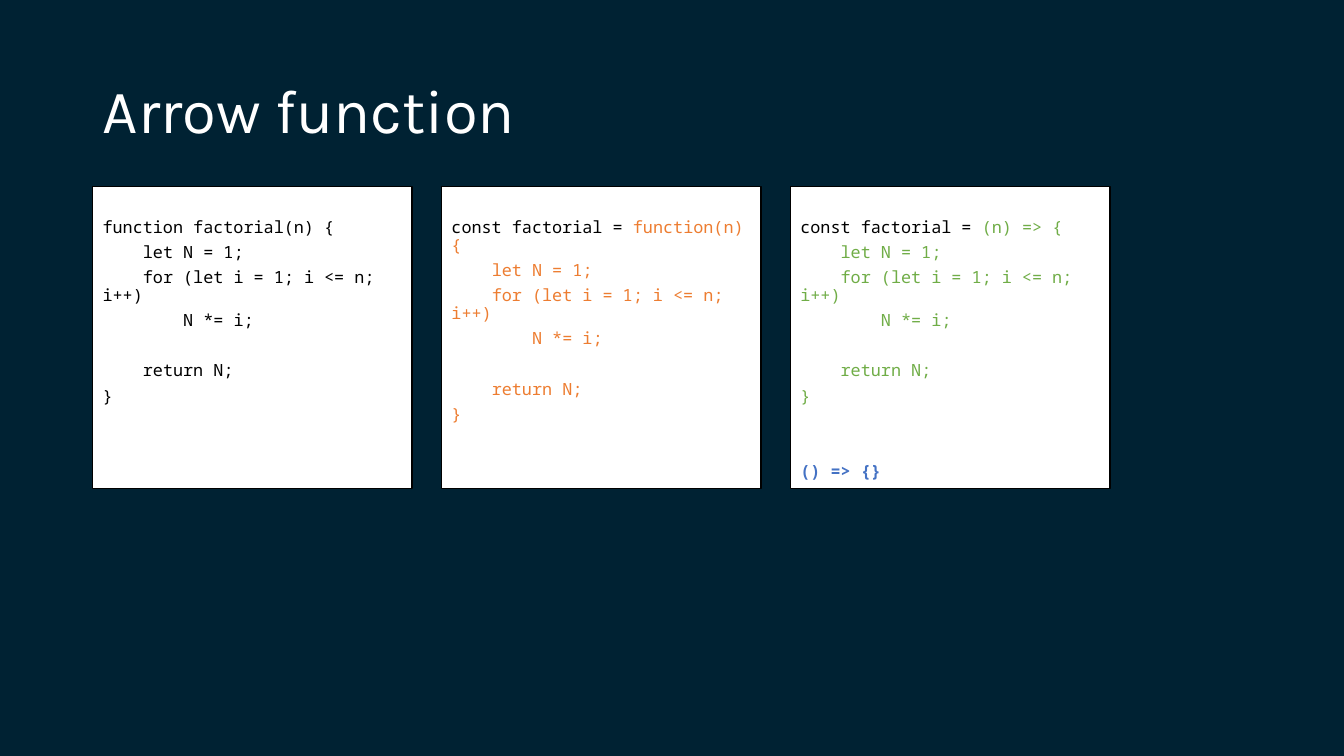
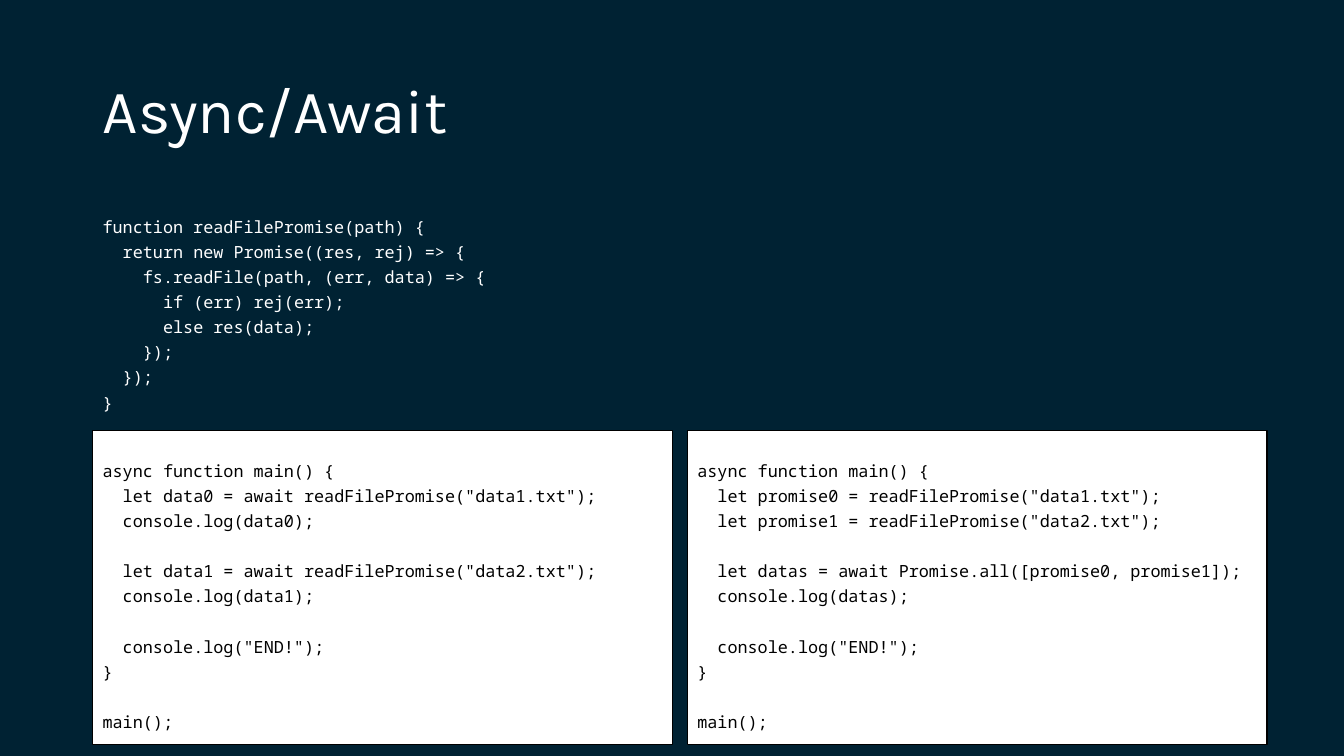
import dataclasses

import pptx
import pptx.dml.color
import pptx.enum.shapes
import pptx.enum.text
import pptx.presentation
import pptx.slide
import pptx.text.text
import pptx.util

Pt = pptx.util.Pt

COLORS = {
    "background": "002233",
    "white": "FFFFFF",
    "black": "000000",
    "orange": "ED7D31",
    "green": "70AD47",
    "blue": "4472C4",
}
TITLE_FONT = "Karla"
CODE_FONT = "Noto Sans Mono"

# Lengths and sizes in points
LEFT = 66.2
TITLE_TOP = 28.8
TITLE_HEIGHT = 104.4
CONTENT_TOP = TITLE_TOP + TITLE_HEIGHT
CONTENT_WIDTH = 828
TITLE_SIZE = 44
CODE_SIZE = 12
CHARACTER_WIDTH = 0.6 * CODE_SIZE
LINE_SPACING = 0.9
SPACE_BEFORE = 5
BLANK_LINE = 18
PANEL_INSET_TOP = 23

# Code listings
FACTORIAL_BODY = """
    let N = 1;
    for (let i = 1; i <= n; i++)
        N *= i;

    return N;
}"""

READ_FILE = """function readFilePromise(path) {
  return new Promise((res, rej) => {
    fs.readFile(path, (err, data) => {
      if (err) rej(err);
      else res(data);
    });
  });
}"""

SEQUENTIAL = """async function main() {
  let data0 = await readFilePromise("data1.txt");
  console.log(data0);

  let data1 = await readFilePromise("data2.txt");
  console.log(data1);

  console.log("END!");
}

main();"""

PARALLEL = """async function main() {
  let promise0 = readFilePromise("data1.txt");
  let promise1 = readFilePromise("data2.txt");

  let datas = await Promise.all([promise0, promise1]);
  console.log(datas);

  console.log("END!");
}

main();"""


@dataclasses.dataclass
class Panel:
    """A listing; the prefix stands before its first line, the footnote below it."""
    code: str
    color: str = "black"
    prefix: str = ""
    footnote: str = ""
    boxed: bool = True


@dataclasses.dataclass
class PanelRow:
    """Panels of equal size, side by side across the content width."""
    panels: list[Panel]
    top: float
    width: float
    height: float
    gap: float = 0


ARROW_ROWS = [
    PanelRow(
        [
            Panel("function factorial(n) {" + FACTORIAL_BODY),
            Panel("function(n) {" + FACTORIAL_BODY, "orange", prefix="const factorial = "),
            Panel("(n) => {" + FACTORIAL_BODY, "green", prefix="const factorial = ",
                  footnote="() => {}"),
        ],
        top=CONTENT_TOP, width=228.2, height=216, gap=21,
    ),
]

ASYNC_ROWS = [
    PanelRow([Panel(READ_FILE, "white", boxed=False)], top=CONTENT_TOP, width=414, height=164.2),
    PanelRow([Panel(SEQUENTIAL), Panel(PARALLEL)], top=307.4, width=414, height=224.6, gap=10.8),
]


def rgb(name: str) -> pptx.dml.color.RGBColor:
    return pptx.dml.color.RGBColor.from_string(COLORS[name])


def add_run(paragraph, text: str, color: str, bold: bool = False) -> None:
    run = paragraph.add_run()
    run.text = text
    run.font.color.rgb = rgb(color)
    run.font.bold = bold


def format_code_line(paragraph, indent: int, blank_lines: int) -> None:
    """Indent by a number of characters, below a number of blank lines."""
    paragraph.alignment = pptx.enum.text.PP_ALIGN.LEFT
    paragraph.line_spacing = LINE_SPACING
    paragraph.space_before = Pt(SPACE_BEFORE + blank_lines * BLANK_LINE)
    paragraph.font.name = CODE_FONT
    paragraph.font.size = Pt(CODE_SIZE)
    # Only the first line is indented, so wrapped code returns to the edge
    properties = paragraph._p.get_or_add_pPr()
    properties.set("marL", "0")
    properties.set("indent", str(int(Pt(indent * CHARACTER_WIDTH))))


def write_panel(text_frame: pptx.text.text.TextFrame, panel: Panel) -> None:
    paragraph = text_frame.paragraphs[0]
    if panel.prefix:
        add_run(paragraph, panel.prefix, "black")
    blank_lines = 0
    for number, line in enumerate(panel.code.splitlines()):
        code = line.lstrip()
        if not code:
            blank_lines += 1
            continue
        if number > 0:
            paragraph = text_frame.add_paragraph()
        format_code_line(paragraph, len(line) - len(code), blank_lines)
        add_run(paragraph, code, panel.color)
        blank_lines = 0
    if panel.footnote:
        paragraph = text_frame.add_paragraph()
        format_code_line(paragraph, indent=0, blank_lines=2)
        add_run(paragraph, panel.footnote, "blue", bold=True)


def add_row(slide: pptx.slide.Slide, row: PanelRow) -> None:
    for index, panel in enumerate(row.panels):
        left = LEFT + index * (row.width + row.gap)
        frame = Pt(left), Pt(row.top), Pt(row.width), Pt(row.height)
        if panel.boxed:
            shape = slide.shapes.add_shape(pptx.enum.shapes.MSO_SHAPE.RECTANGLE, *frame)
            shape.shadow.inherit = False
            shape.fill.solid()
            shape.fill.fore_color.rgb = rgb("white")
            shape.line.color.rgb = rgb("black")
            shape.line.width = Pt(1)
        else:
            shape = slide.shapes.add_textbox(*frame)
        text_frame = shape.text_frame
        text_frame.word_wrap = True
        text_frame.vertical_anchor = pptx.enum.text.MSO_ANCHOR.TOP
        text_frame.margin_top = Pt(PANEL_INSET_TOP)
        write_panel(text_frame, panel)


def set_title(slide: pptx.slide.Slide, title: str) -> None:
    shape = slide.shapes.title
    shape.left, shape.top = Pt(LEFT), Pt(TITLE_TOP)
    shape.width, shape.height = Pt(CONTENT_WIDTH), Pt(TITLE_HEIGHT)
    shape.text_frame.text = title
    shape.text_frame.vertical_anchor = pptx.enum.text.MSO_ANCHOR.MIDDLE
    paragraph = shape.text_frame.paragraphs[0]
    paragraph.alignment = pptx.enum.text.PP_ALIGN.LEFT
    paragraph.line_spacing = LINE_SPACING
    paragraph.font.name = TITLE_FONT
    paragraph.font.size = Pt(TITLE_SIZE)
    paragraph.font.color.rgb = rgb("white")


def add_slide(presentation: pptx.presentation.Presentation, title: str,
              rows: list[PanelRow]) -> None:
    layout = presentation.slide_layouts.get_by_name("Title Only")
    slide = presentation.slides.add_slide(layout)
    set_title(slide, title)
    for row in rows:
        add_row(slide, row)


def main() -> None:
    presentation = pptx.Presentation()
    presentation.slide_width, presentation.slide_height = Pt(960), Pt(540)

    # Shared background
    background = presentation.slide_master.background.fill
    background.solid()
    background.fore_color.rgb = rgb("background")

    add_slide(presentation, "Arrow function", ARROW_ROWS)
    add_slide(presentation, "Async/Await", ASYNC_ROWS)
    presentation.save("out.pptx")


if __name__ == "__main__":
    main()
